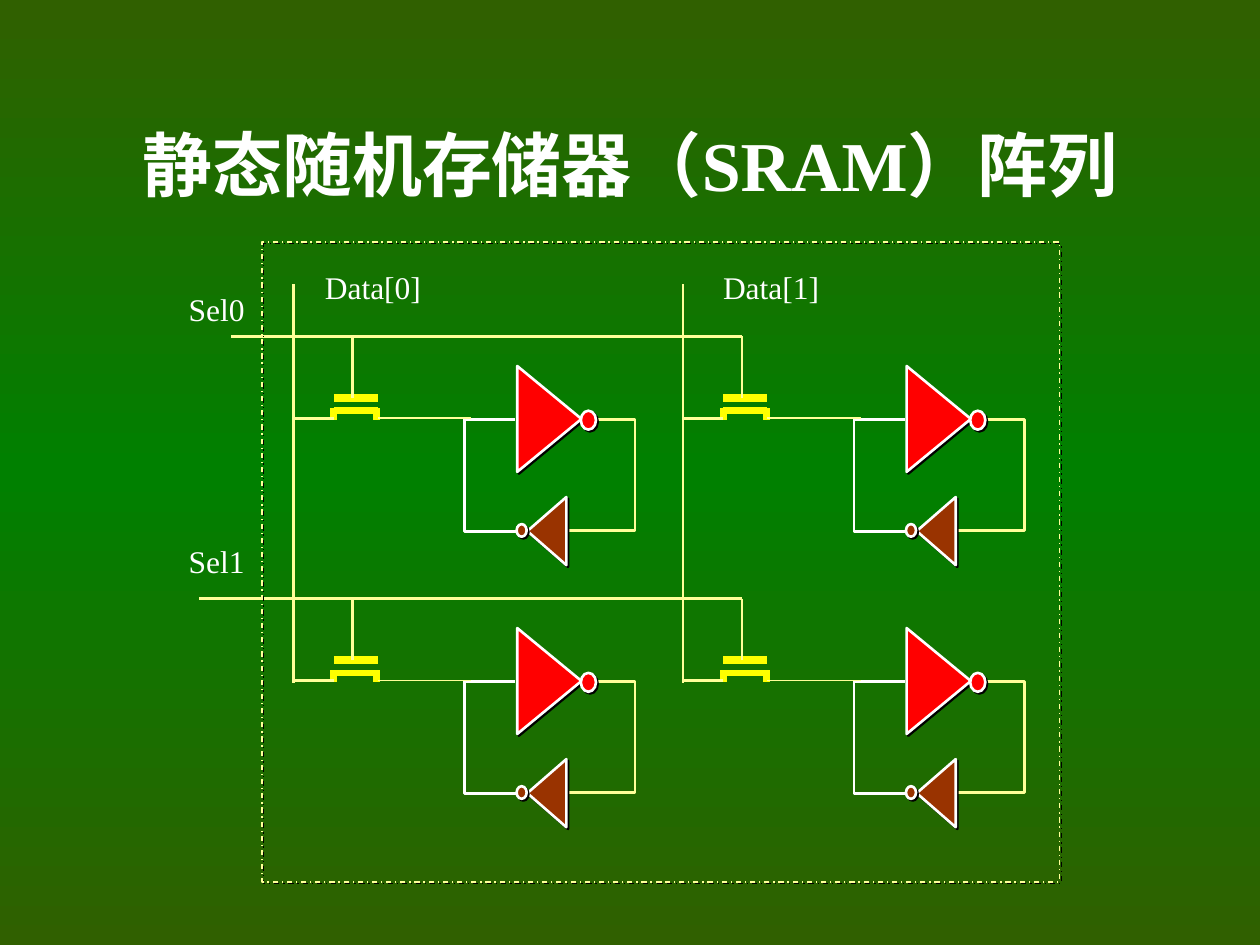
"""Build the SRAM array slide: a two by two grid of memory cells."""
from copy import deepcopy

from lxml.etree import SubElement
from pptx import Presentation
from pptx.dml.color import RGBColor
from pptx.enum.dml import MSO_LINE
from pptx.enum.shapes import MSO_CONNECTOR, MSO_SHAPE
from pptx.enum.text import MSO_ANCHOR, PP_ALIGN
from pptx.oxml.ns import qn
from pptx.util import Inches, Pt

WHITE, CREAM, YELLOW = "FFFFFF", "FFFF99", "FFFF00"
RED, BROWN = "FF0000", "993300"
BACKGROUND = [(0, "306000"), (0.5, "008000"), (1, "306000")]

TITLE = ("静态随机存储器（SRAM）阵列", (0.75, 0.67, 8.5, 1.25))
LABELS = [
    ("Sel0", (1.33, 2.25, 0.78, 0.4)),
    ("Sel1", (1.33, 4.25, 0.78, 0.4)),
    ("Data[0]", (2.42, 2.08, 1.08, 0.4)),
    ("Data[1]", (5.58, 2.08, 1.08, 0.4)),
]
FRAME = (2.08, 1.92, 6.33, 5.08)
BIT_LINES = [2.33, 5.42]
BIT_TOP, BIT_BOTTOM = 2.25, 5.42
SELECT_LINES = [(1.83, 2.67), (1.58, 4.75)]
GATE_OFFSET = 0.47

# Cell positions are measured from the crossing of its bit and select lines.
CELL_WIRES = [
    ((0.32, 0.49), (0.67, 0.49), YELLOW, 4.75),
    ((0.32, 0.59), (0.67, 0.59), YELLOW, 3.75),
    ((0.32, 0.57), (0.32, 0.66), YELLOW, 4),
    ((0.66, 0.57), (0.66, 0.66), YELLOW, 4),
    ((0.67, 0.65), (1.41, 0.65), CREAM, 1),
    ((0.32, 0.65), (0, 0.65), CREAM, 1.5),
    ((GATE_OFFSET, 0), (GATE_OFFSET, 0.49), CREAM, 1.5),
]
CELL_LOOPS = [
    ((1.76, 0.66), (1.8, 1.55), 1.36, WHITE),
    ((2.4, 0.66), (2.17, 1.54), 2.71, CREAM),
]
CELL_PARTS = [
    (MSO_SHAPE.ISOSCELES_TRIANGLE, (1.61, 0.4, 0.84, 0.51), RED, 90),
    (MSO_SHAPE.ISOSCELES_TRIANGLE, (1.74, 1.39, 0.54, 0.31), BROWN, 270),
    (MSO_SHAPE.OVAL, (2.28, 0.59, 0.12, 0.15), RED, 0),
    (MSO_SHAPE.OVAL, (1.77, 1.49, 0.08, 0.1), BROWN, 0),
]


def color(value):
    return RGBColor.from_string(value)


def add_shadow(properties):
    effects = SubElement(properties, qn("a:effectLst"))
    shadow = SubElement(effects, qn("a:outerShdw"), dist=str(Pt(1.4)), dir="2700000", algn="ctr")
    SubElement(shadow, qn("a:srgbClr"), val="000000")


def add_text(slide, text, box, size=18, bold=False, anchor=MSO_ANCHOR.TOP):
    frame = slide.shapes.add_textbox(*map(Inches, box)).text_frame
    frame.word_wrap = True
    frame.vertical_anchor = anchor
    paragraph = frame.paragraphs[0]
    paragraph.alignment = PP_ALIGN.CENTER
    run = paragraph.add_run()
    run.text = text
    run.font.size, run.font.bold = Pt(size), bold
    run.font.color.rgb = color(WHITE)
    add_shadow(run.font._element if hasattr(run.font, "_element") else run._r.get_or_add_rPr())
    run.font.name = "Times New Roman"


def add_part(slide, kind, box, fill=None, rotation=0, line=WHITE, width=1.5):
    part = slide.shapes.add_shape(kind, *map(Inches, box))
    part.rotation = rotation
    if fill:
        part.fill.solid()
        part.fill.fore_color.rgb = color(fill)
    else:
        part.fill.background()
    part.line.color.rgb = color(line)
    part.line.width = Pt(width)
    add_shadow(part._element.spPr)
    return part


def add_wire(slide, start, end, line=CREAM, width=1.5, bend=None):
    kind = MSO_CONNECTOR.STRAIGHT if bend is None else MSO_CONNECTOR.ELBOW
    wire = slide.shapes.add_connector(kind, *map(Inches, (*start, *end)))
    wire.line.color.rgb = color(line)
    wire.line.width = Pt(width)
    properties = wire._element.spPr
    SubElement(properties, qn("a:effectLst"))
    if bend is not None:
        ratio = (bend - start[0]) / (end[0] - start[0])
        adjustments = properties.find(".//" + qn("a:avLst"))
        SubElement(adjustments, qn("a:gd"), name="adj1", fmla=f"val {round(ratio * 100000)}")


def add_cell(slide, left, top):
    def place(point):
        return left + point[0], top + point[1]

    for start, end, bend, line in CELL_LOOPS:
        add_wire(slide, place(start), place(end), line, bend=left + bend)
    for kind, box, fill, rotation in CELL_PARTS:
        add_part(slide, kind, (*place(box), *box[2:]), fill, rotation)
    for start, end, line, width in CELL_WIRES:
        add_wire(slide, place(start), place(end), line, width)


def paint_background(slide):
    fill = slide.background.fill
    fill.gradient()
    fill.gradient_angle = 270
    stops = slide._element.find(".//" + qn("a:gsLst"))
    stops.append(deepcopy(stops[0]))
    for stop, (position, value) in zip(fill.gradient_stops, BACKGROUND):
        stop.position = position
        stop.color.rgb = color(value)


def main():
    deck = Presentation()
    deck.slide_width, deck.slide_height = Inches(10), Inches(7.5)
    slide = deck.slides.add_slide(deck.slide_layouts[6])
    paint_background(slide)
    add_text(slide, *TITLE, size=40, bold=True, anchor=MSO_ANCHOR.MIDDLE)
    for _, top in SELECT_LINES:
        for left in BIT_LINES:
            add_cell(slide, left, top)
    for left in BIT_LINES:
        add_wire(slide, (left, BIT_BOTTOM), (left, BIT_TOP))
    for left, top in SELECT_LINES:
        add_wire(slide, (BIT_LINES[-1] + GATE_OFFSET, top), (left, top))
    for text, box in LABELS:
        add_text(slide, text, box)
    frame = add_part(slide, MSO_SHAPE.RECTANGLE, FRAME, line=CREAM, width=0.75)
    frame.line.dash_style = MSO_LINE.DASH_DOT
    deck.save("out.pptx")


if __name__ == "__main__":
    main()
